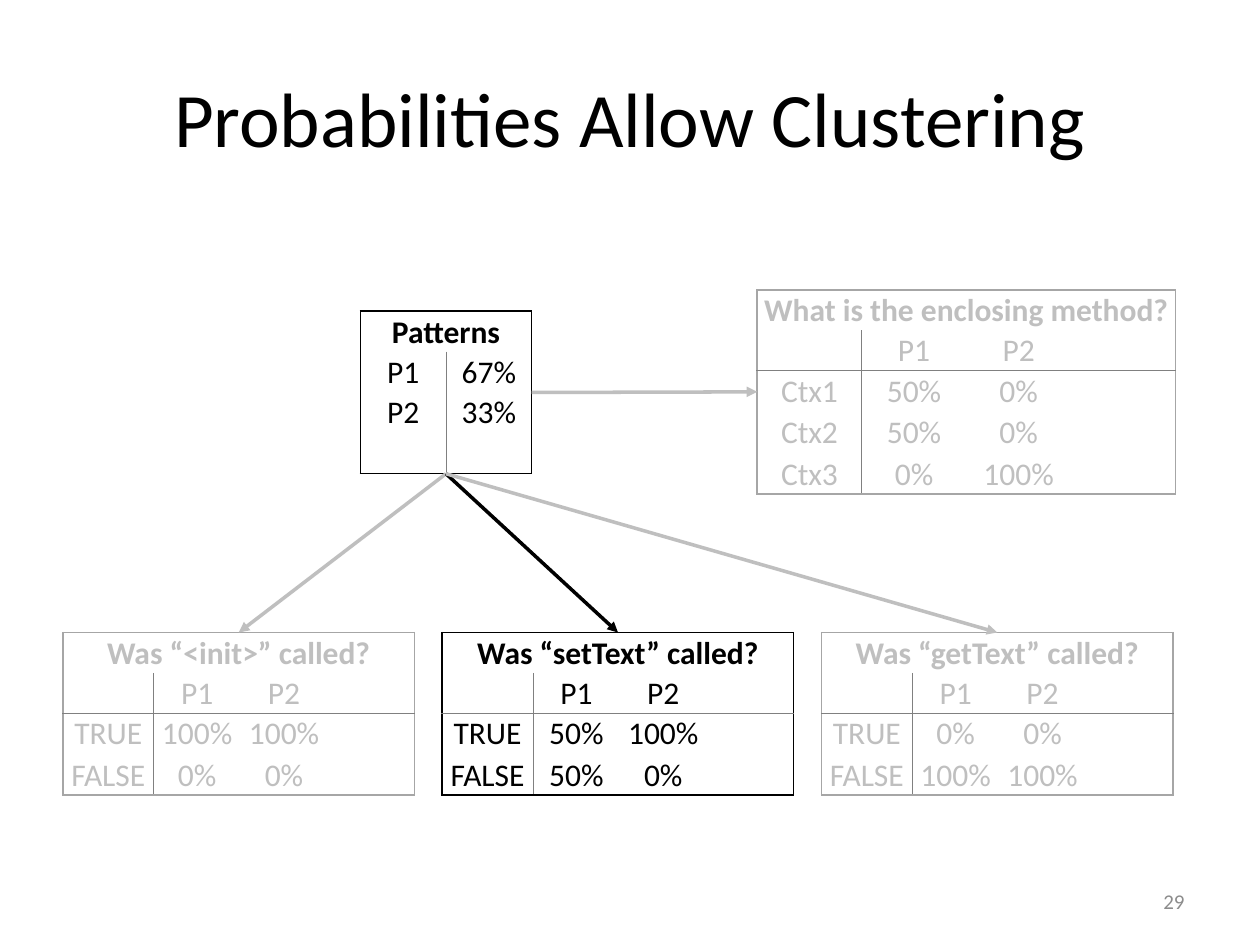
from lxml import etree
from pptx import Presentation, util as u
from pptx.dml.color import RGBColor
from pptx.enum import shapes, text
from pptx.oxml.ns import qn

BLACK = RGBColor(0, 0, 0)
PALE = RGBColor(0xBF, 0xBF, 0xBF)
EDGE = RGBColor(0xA6, 0xA6, 0xA6)
RULE = RGBColor(0x80, 0x80, 0x80)
GRAY = RGBColor(0x8C, 0x8C, 0x8C)
FONT = "Calibri"

LEFT, STEP = 0.5, 3.01
ROW, LAST = 0.32, 0.33
ASK = [0.72, 0.69, 0.69, 0.69]


def write(frame, words, size, color, align, bold=False):
    para = frame.paragraphs[0]
    para.alignment = align
    run = para.add_run()
    run.text = words
    font = run.font
    font.name, font.size, font.bold = FONT, u.Pt(size), bold
    font.color.rgb = color


def border(cell, sides):
    """Draw the cell's sides, each a (colour, points) pair or None."""
    props = cell._tc.get_or_add_tcPr()
    for side in "LRTB":
        line = etree.SubElement(props, qn("a:ln" + side))
        if sides.get(side):
            color, width = sides[side]
            line.set("w", str(u.Pt(width)))
            fill = etree.SubElement(line, qn("a:solidFill"))
            etree.SubElement(fill, qn("a:srgbClr"), val=str(color))
        else:
            line.set("w", "0")
            etree.SubElement(line, qn("a:noFill"))


def sides(r, c, rows, cols, edge, head):
    """Outer frame, a rule after the first column and one under the header."""
    outer, inner = (edge, 1), (RULE, 0.5)
    found = {}
    if r == 0:
        found["T"] = outer
    if r == rows - 1:
        found["B"] = outer
    if c == 0:
        found["L"] = outer
    if c == cols - 1 or r == 0:
        found["R"] = outer
    if r and c == 0:
        found["R"] = inner
    if r and c == 1:
        found["L"] = inner
    if head and r == 1:
        found["B"] = inner
    if head and r == 2:
        found["T"] = inner
    return found


def add_grid(slide, left, top, cols, heights, name, body, ink, edge, head=True):
    """Place a table with a merged caption row above the body rows."""
    rows, wide = len(heights), len(cols)
    frame = slide.shapes.add_table(
        rows, wide, u.Inches(left), u.Inches(top),
        u.Inches(sum(cols)), u.Inches(sum(heights)))
    table = frame.table
    table.first_row = table.horz_banding = False
    for col, width in zip(table.columns, cols):
        col.width = u.Inches(width)
    for row, height in zip(table.rows, heights):
        row.height = u.Inches(height)
    table.cell(0, 0).merge(table.cell(0, wide - 1))

    for r, line in enumerate([[name]] + body):
        for c in range(wide):
            cell = table.cell(r, c)
            cell.margin_left = cell.margin_right = cell.margin_top = u.Inches(0.01)
            cell.margin_bottom = 0
            cell.vertical_anchor = text.MSO_ANCHOR.BOTTOM
            border(cell, sides(r, c, rows, wide, edge, head))
            cell.fill.background()
            if c < len(line) and line[c]:
                write(cell.text_frame, line[c], 18, ink,
                      text.PP_ALIGN.CENTER, bold=r == 0)
    return frame


def add_arrow(slide, start, site, end, goal, color):
    line = slide.shapes.add_connector(shapes.MSO_CONNECTOR.STRAIGHT, 0, 0, 0, 0)
    line.begin_connect(start, site)
    line.end_connect(end, goal)
    line.line.color.rgb = color
    line.line.width = u.Pt(2)
    etree.SubElement(line.line._get_or_add_ln(), qn("a:tailEnd"), type="triangle")
    etree.SubElement(line._element.spPr, qn("a:effectLst"))


def add_title(slide, left, top, width, height):
    title = slide.shapes.title
    title.left, title.top = u.Inches(left), u.Inches(top)
    title.width, title.height = u.Inches(width), u.Inches(height)
    title.text_frame.vertical_anchor = text.MSO_ANCHOR.MIDDLE
    write(title.text_frame, "Probabilities Allow Clustering", 44, BLACK,
          text.PP_ALIGN.CENTER)


def add_number(slide, left, top, width, height):
    box = slide.shapes.add_textbox(*map(u.Inches, (left, top, width, height)))
    box.text_frame.word_wrap = True
    box.text_frame.vertical_anchor = text.MSO_ANCHOR.MIDDLE
    write(box.text_frame, "29", 12, GRAY, text.PP_ALIGN.RIGHT)


def add_model(slide):
    """Patterns table with arrows to the context table and the call tables."""
    method = add_grid(
        slide, 6.01, 2.3, [0.83] * 4, [ROW] * 3 + [LAST] * 2,
        "What is the enclosing method?",
        [["", "P1", "P2"], ["Ctx1", "50%", "0%"],
         ["Ctx2", "50%", "0%"], ["Ctx3", "0%", "100%"]], PALE, EDGE)
    heights = [ROW] * 3 + [LAST]
    root = add_grid(slide, 2.86, 2.47, [0.68] * 2, heights, "Patterns",
                    [["P1", "67%"], ["P2", "33%"], []], BLACK, BLACK, head=False)
    calls = [
        ("<init>", ["100%", "100%"], ["0%", "0%"], PALE, EDGE),
        ("setText", ["50%", "100%"], ["50%", "0%"], BLACK, BLACK),
        ("getText", ["0%", "0%"], ["100%", "100%"], PALE, EDGE),
    ]
    leaves = []
    for i, (name, yes, no, ink, edge) in enumerate(calls):
        body = [["", "P1", "P2"], ["TRUE"] + yes, ["FALSE"] + no]
        leaf = add_grid(slide, LEFT + i * STEP, 5.02, ASK, heights,
                        f"Was “{name}” called?", body, ink, edge)
        leaves.append((leaf, ink))

    add_arrow(slide, root, 3, method, 1, PALE)
    for leaf, ink in leaves:
        add_arrow(slide, root, 2, leaf, 0, ink)


def main():
    deck = Presentation()
    deck.slide_width, deck.slide_height = u.Inches(10), u.Inches(7.5)
    slide = deck.slides.add_slide(deck.slide_layouts[5])
    add_title(slide, LEFT, 0.3, 9, 1.25)
    add_number(slide, 7.17, 6.95, 2.33, 0.4)
    add_model(slide)
    deck.save("out.pptx")


if __name__ == "__main__":
    main()
